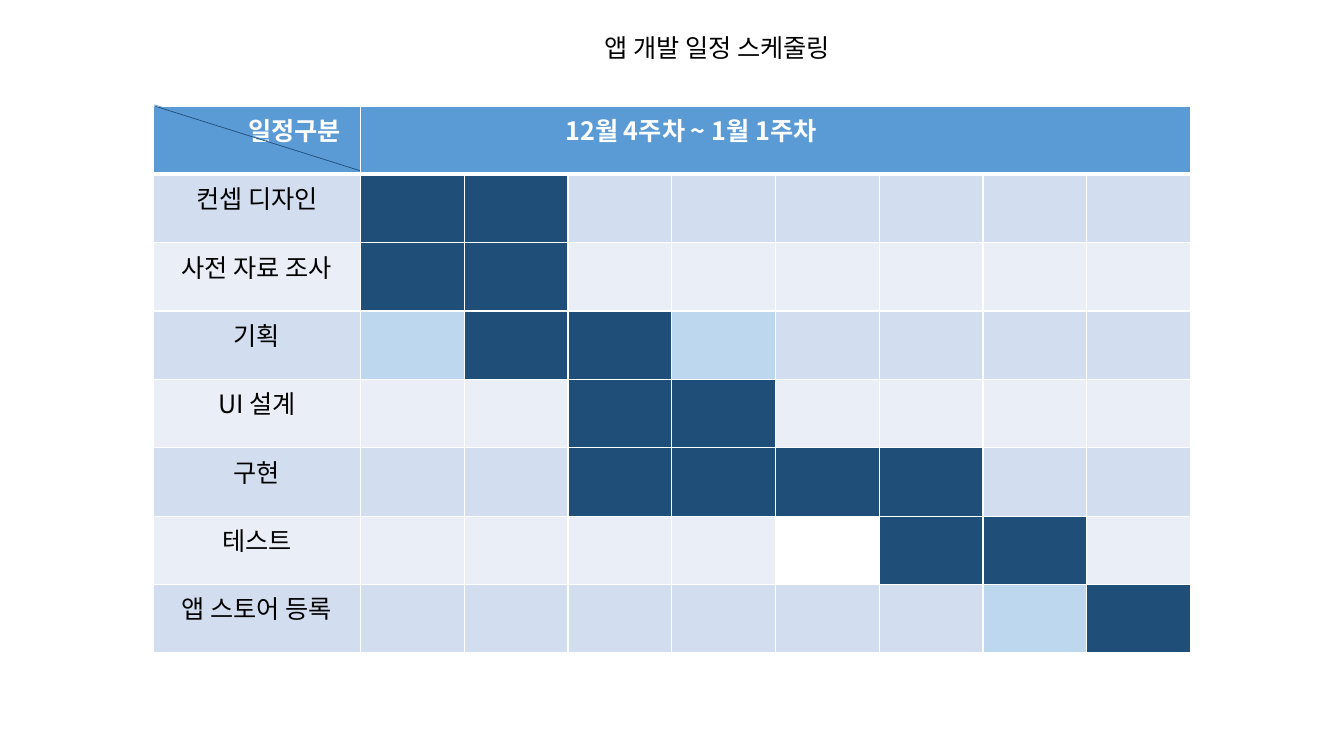
import pptx
import pptx.dml.color
import pptx.enum.shapes
import pptx.enum.text
import pptx.oxml
import pptx.oxml.ns
import pptx.util
from lxml import etree

Cm = pptx.util.Cm
ALIGN = pptx.enum.text.PP_ALIGN
ANCHOR = pptx.enum.text.MSO_ANCHOR
FONT = "Noto Sans CJK KR"
COLORS = {
    "text": "000000", "white": "FFFFFF", "header": "5B9BD5",
    "band_dark": "D2DEEF", "band_light": "EAEFF7",
    "work": "1F4E79", "partial": "BDD7EE",
}
# One mark per period: # work, + partial, o blank, . row band
SCHEDULE = [
    ("컨셉 디자인", "##......"),
    ("사전 자료 조사", "##......"),
    ("기획", "+##+...."),
    ("UI 설계", "..##...."),
    ("구현", "..####.."),
    ("테스트", "....o##."),
    ("앱 스토어 등록", "......+#"),
]
MARKS = {"#": "work", "+": "partial", "o": "white"}
PERIODS = 8


def rgb(color):
    """Return the named colour as an RGBColor."""
    return pptx.dml.color.RGBColor.from_string(COLORS[color])


def write(frame, text, color="text", size=18, bold=False, align=ALIGN.CENTER):
    """Put one formatted paragraph into a text frame."""
    paragraph = frame.paragraphs[0]
    paragraph.alignment = align
    run = paragraph.add_run()
    run.text = text
    run.font.name, run.font.size, run.font.bold = FONT, pptx.util.Pt(size), bold
    run.font.color.rgb = rgb(color)
    east_asian = etree.SubElement(run.font._element, pptx.oxml.ns.qn("a:ea"))
    east_asian.set("typeface", FONT)


def paint(cell, color, top=1, bottom=1):
    """Fill a cell and give it white borders, widths in points."""
    cell.fill.solid()
    cell.fill.fore_color.rgb = rgb(color)
    properties = cell._tc.get_or_add_tcPr()
    widths = {"lnL": 1, "lnR": 1, "lnT": top, "lnB": bottom}
    for position, (side, width) in enumerate(widths.items()):
        border = pptx.oxml.parse_xml(
            f'<a:{side} {pptx.oxml.ns.nsdecls("a")} w="{pptx.util.Pt(width)}">'
            f'<a:solidFill><a:srgbClr val="{COLORS["white"]}"/></a:solidFill></a:{side}>')
        properties.insert(position, border)


def add_heading(slide, left, top, width, height):
    """Place the slide title in its box."""
    title = slide.shapes.title
    title.left, title.top, title.width, title.height = left, top, width, height
    title.text_frame.word_wrap = True
    title.text_frame.vertical_anchor = ANCHOR.MIDDLE
    write(title.text_frame, "앱 개발 일정 스케줄링")


def add_schedule(slide, left, top, width, height):
    """Build the schedule grid; the task column is two periods wide."""
    rows = len(SCHEDULE) + 1
    grid = slide.shapes.add_table(rows, PERIODS + 1, left, top, width, height).table
    grid.first_row = grid.horz_banding = False
    period_width = width // (PERIODS + 2)
    for index, column in enumerate(grid.columns):
        column.width = period_width if index else 2 * period_width
    for row in grid.rows:
        row.height = height // rows

    for index in range(PERIODS + 1):
        paint(grid.cell(0, index), "header", bottom=3)
    category, weeks = grid.cell(0, 0), grid.cell(0, 1)
    weeks.merge(grid.cell(0, PERIODS))
    category.margin_right = Cm(0.5)
    weeks.margin_left = Cm(5.16)
    write(category.text_frame, "일정구분", color="white", bold=True, align=ALIGN.RIGHT)
    write(weeks.text_frame, "12월 4주차 ~ 1월 1주차", color="white", bold=True,
          align=ALIGN.LEFT)

    for number, (task, marks) in enumerate(SCHEDULE, start=1):
        band = "band_dark" if number % 2 else "band_light"
        for index, mark in enumerate("." + marks):
            paint(grid.cell(number, index), MARKS.get(mark, band),
                  top=3 if number == 1 else 1)
        write(grid.cell(number, 0).text_frame, task)


def add_diagonal(slide, left, top, width, height, color):
    """Draw a thin line across the corner cell."""
    diagonal = slide.shapes.add_connector(
        pptx.enum.shapes.MSO_CONNECTOR.STRAIGHT, left, top, left + width, top + height)
    diagonal.line.color.rgb = rgb(color)
    diagonal.line.width = pptx.util.Pt(0.5)
    etree.SubElement(diagonal._element.spPr, pptx.oxml.ns.qn("a:effectLst"))


def main():
    """Assemble and save the schedule slide."""
    deck = pptx.Presentation()
    deck.slide_width, deck.slide_height = Cm(33.87), Cm(19.05)
    slide = deck.slides.add_slide(deck.slide_layouts[5])
    add_schedule(slide, Cm(3.86), Cm(2.67), Cm(26.14), Cm(13.79))
    add_diagonal(slide, Cm(3.89), Cm(2.64), Cm(5.18), Cm(1.65), "header")
    add_diagonal(slide, Cm(3.89), Cm(2.67), Cm(5.18), Cm(1.63), "work")
    add_heading(slide, Cm(9.07), Cm(0.69), Cm(18), Cm(1.02))
    deck.save("out.pptx")


main()
